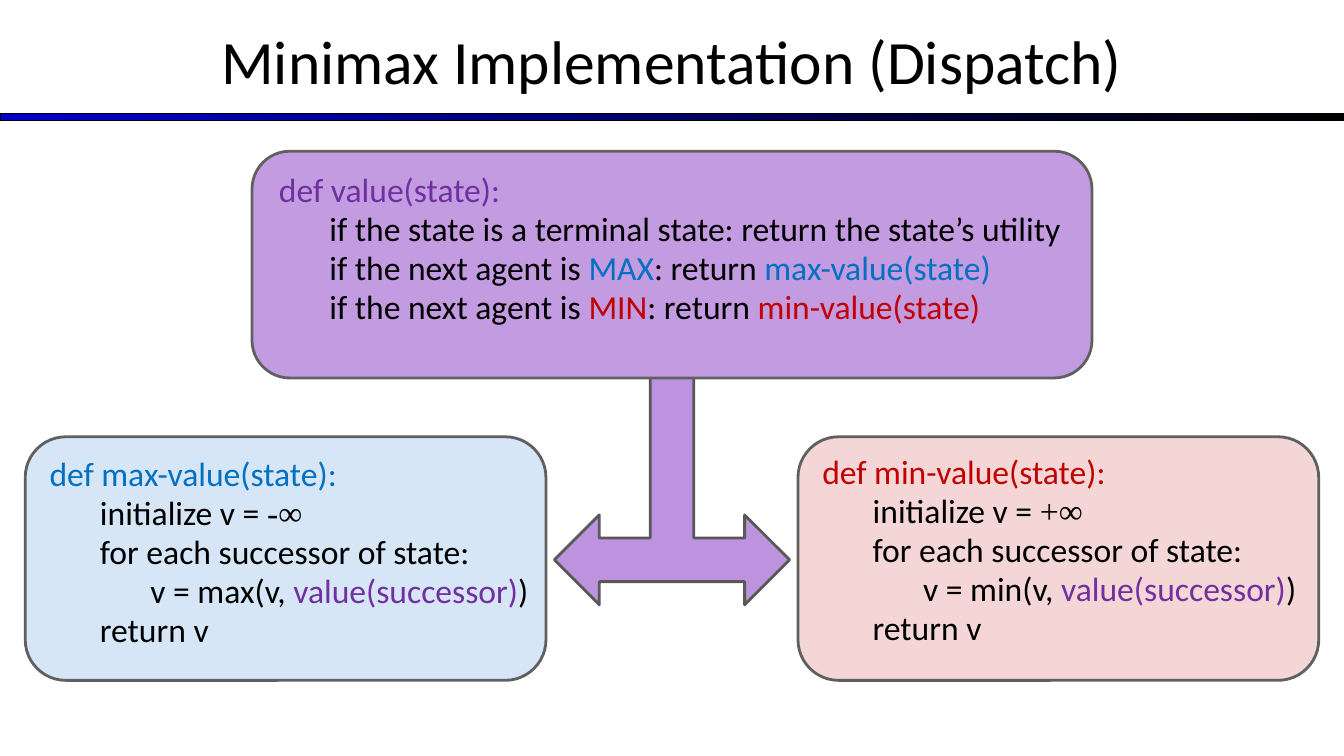
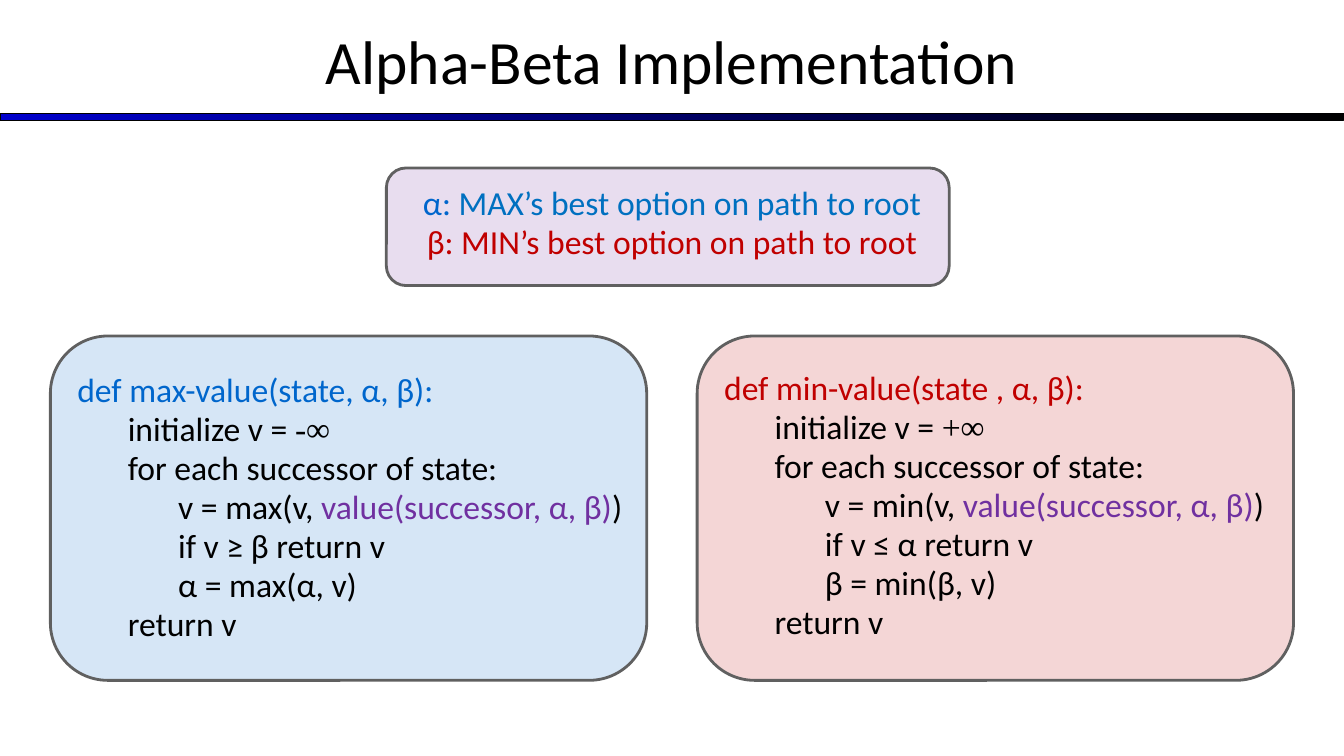
from lxml import etree
from pptx import Presentation
from pptx.dml.color import RGBColor
from pptx.enum import shapes, text
from pptx.oxml import ns
from pptx.util import Pt

BLACK = RGBColor(0x00, 0x00, 0x00)
WHITE = RGBColor(0xFF, 0xFF, 0xFF)
NAVY = RGBColor(0x00, 0x00, 0xCC)
ROYAL = RGBColor(0x00, 0x66, 0xCC)
BLUE = RGBColor(0x00, 0x70, 0xC0)
RED = RGBColor(0xC0, 0x00, 0x00)
PURPLE = RGBColor(0x70, 0x30, 0xA0)
LILAC = RGBColor(0xC3, 0x9B, 0xE1)
ARROW = RGBColor(0xBD, 0x92, 0xDE)
OUTLINE = RGBColor(0x60, 0x60, 0x60)
ARROW_LINE = RGBColor(0x59, 0x59, 0x59)

FONT, MATH_FONT = "Calibri", "Times New Roman"
WIDTH, HEIGHT = 960, 540
STEP = 36        # code indent per level
CORNER = 0.167   # corner radius as a share of the short side
TINT = 16        # opacity of pale cards, percent
SHAPE = shapes.MSO_SHAPE


def add_shape(slide, kind, box, fill, line, weight):
    sp = slide.shapes.add_shape(kind, *map(Pt, box))
    sp.shadow.inherit = False
    sp.fill.solid()
    sp.fill.fore_color.rgb = fill
    sp.line.color.rgb = line
    sp.line.width = Pt(weight)
    return sp


def set_opacity(sp, percent):
    clr = sp.element.spPr.find(ns.qn("a:solidFill"))[0]
    etree.SubElement(clr, ns.qn("a:alpha")).set("val", str(percent * 1000))


def write_lines(tf, lines, align):
    """Each line is (level, runs); a run is (text, colour[, font])."""
    for i, (level, runs) in enumerate(lines):
        p = tf.paragraphs[0] if i == 0 else tf.add_paragraph()
        p.alignment = align
        p.line_spacing = 0.8
        p.space_before = Pt(4.8 if i else 0)
        p.font.size = Pt(24)
        p.font.name = FONT
        p._p.get_or_add_pPr().set("marL", str(Pt(STEP * level)))
        for words, colour, *font in runs:
            r = p.add_run()
            r.text = words
            r.font.color.rgb = colour
            if font:
                r.font.name = font[0]


def add_card(slide, box, fill, lines, left, top, right=None, opacity=None,
             align=text.PP_ALIGN.LEFT):
    """Rounded card; left, top and right are text distances from its edges."""
    sp = add_shape(slide, SHAPE.ROUNDED_RECTANGLE, box, fill, OUTLINE, 2)
    sp.adjustments[0] = CORNER
    if opacity:
        set_opacity(sp, opacity)
    # The corners already push the text area inwards
    inset = 0.29 * CORNER * min(box[2:])
    tf = sp.text_frame
    tf.word_wrap = True
    tf.vertical_anchor = text.MSO_ANCHOR.TOP
    tf.margin_left = Pt(left - inset)
    tf.margin_top = Pt(top - inset)
    tf.margin_right = Pt(right - inset if right else 0)
    tf.margin_bottom = 0
    write_lines(tf, lines, align)


def search_lines(name, colour, bound, params="", extra=()):
    """Pseudocode of max-value or min-value, with optional pruning lines."""
    return [
        (0, [(f"def {name}-value(state{params}):", colour)]),
        (1, [("initialize v = ", BLACK), (bound, BLACK, MATH_FONT)]),
        (1, [("for each successor of state:", BLACK)]),
        (2, [(f"v = {name}(v, ", BLACK),
             (f"value(successor{params.lstrip()})", PURPLE), (")", BLACK)]),
        *[(2, [(line, BLACK)]) for line in extra],
        (1, [("return v", BLACK)]),
    ]


def add_search_pair(slide, box, margin, left, top, max_lines, min_lines):
    """Max card in the given box, min card mirrored on the right."""
    x, y, w, h = box
    add_card(slide, (WIDTH - margin - w, y, w, h), RED, min_lines,
             left, top, opacity=TINT)
    # The max text sits slightly lower than the min text
    add_card(slide, box, ROYAL, max_lines, left, top + 1.4, opacity=TINT)


def style_layout(layout):
    layout.background.fill.solid()
    layout.background.fill.fore_color.rgb = WHITE
    title = layout.placeholders[0]
    title.left, title.top = Pt(0), Pt(-2)
    title.width, title.height = Pt(WIDTH), Pt(90)


def add_band(slide, layout):
    """Gradient band under the title, moved to the layout all slides share."""
    band = add_shape(slide, SHAPE.RECTANGLE, (0, 81, WIDTH, 5),
                     NAVY, BLACK, 0.75)
    band.fill.gradient()
    band.fill.gradient_angle = 0
    for stop, place, colour in zip(band.fill.gradient_stops, (0, 1),
                                   (NAVY, BLACK)):
        stop.position = place
        stop.color.rgb = colour
    layout.shapes.element.append(band.element)


def add_titled_slide(prs, layout, title):
    slide = prs.slides.add_slide(layout)
    tf = slide.shapes.title.text_frame
    tf.text = title
    tf.vertical_anchor = text.MSO_ANCHOR.MIDDLE
    p = tf.paragraphs[0]
    p.alignment = text.PP_ALIGN.CENTER
    p.font.name, p.font.size = FONT, Pt(44)
    p.font.color.rgb = BLACK
    return slide


def fill_minimax(slide):
    # Arrow first, so that the value card hides its upper head
    arrow = add_shape(slide, SHAPE.LEFT_RIGHT_UP_ARROW, (396, 228, 168, 204),
                      ARROW, ARROW_LINE, 2)
    for i, share in enumerate((0.185, 0.191, 0.191)):
        arrow.adjustments[i] = share

    add_search_pair(slide, (18, 312, 372, 174), 18, 17.3, 15.6,
                    search_lines("max", BLUE, "-∞"),
                    search_lines("min", RED, "+∞"))

    # Dispatch card
    value_lines = [
        (0, [("def value(state):", PURPLE)]),
        (1, [("if the state is a terminal state: "
              "return the state’s utility", BLACK)]),
    ]
    for agent, colour in (("MAX", BLUE), ("MIN", RED)):
        value_lines.append((1, [
            ("if the next agent is ", BLACK), (agent, colour),
            (": return ", BLACK), (f"{agent.lower()}-value(state)", colour)]))
    add_card(slide, (180, 108, 600, 162), LILAC, value_lines, 19.2, 18)


def fill_alpha_beta(slide):
    add_search_pair(
        slide, (36, 240, 426, 246), 36, 19.2, 27.6,
        search_lines("max", ROYAL, "-∞", ", α, β",
                     ("if v ≥ β return v", "α = max(α, v)")),
        search_lines("min", RED, "+∞", " , α, β",
                     ("if v ≤ α return v", "β = min(β, v)")))

    # Legend card
    legend = [
        (0, [("α: ", ROYAL), ("MAX’s best option on path to root", BLUE)]),
        (0, [("β: MIN’s best option on path to root", RED)]),
    ]
    add_card(slide, (276, 120, 402, 84), PURPLE, legend, 16, 15.6, right=10,
             opacity=TINT, align=text.PP_ALIGN.CENTER)


def main():
    prs = Presentation()
    prs.slide_width, prs.slide_height = Pt(WIDTH), Pt(HEIGHT)
    layout = prs.slide_layouts[5]
    style_layout(layout)

    minimax = add_titled_slide(prs, layout, "Minimax Implementation (Dispatch)")
    add_band(minimax, layout)
    fill_minimax(minimax)
    fill_alpha_beta(add_titled_slide(prs, layout, "Alpha-Beta Implementation"))
    prs.save("out.pptx")


if __name__ == "__main__":
    main()
